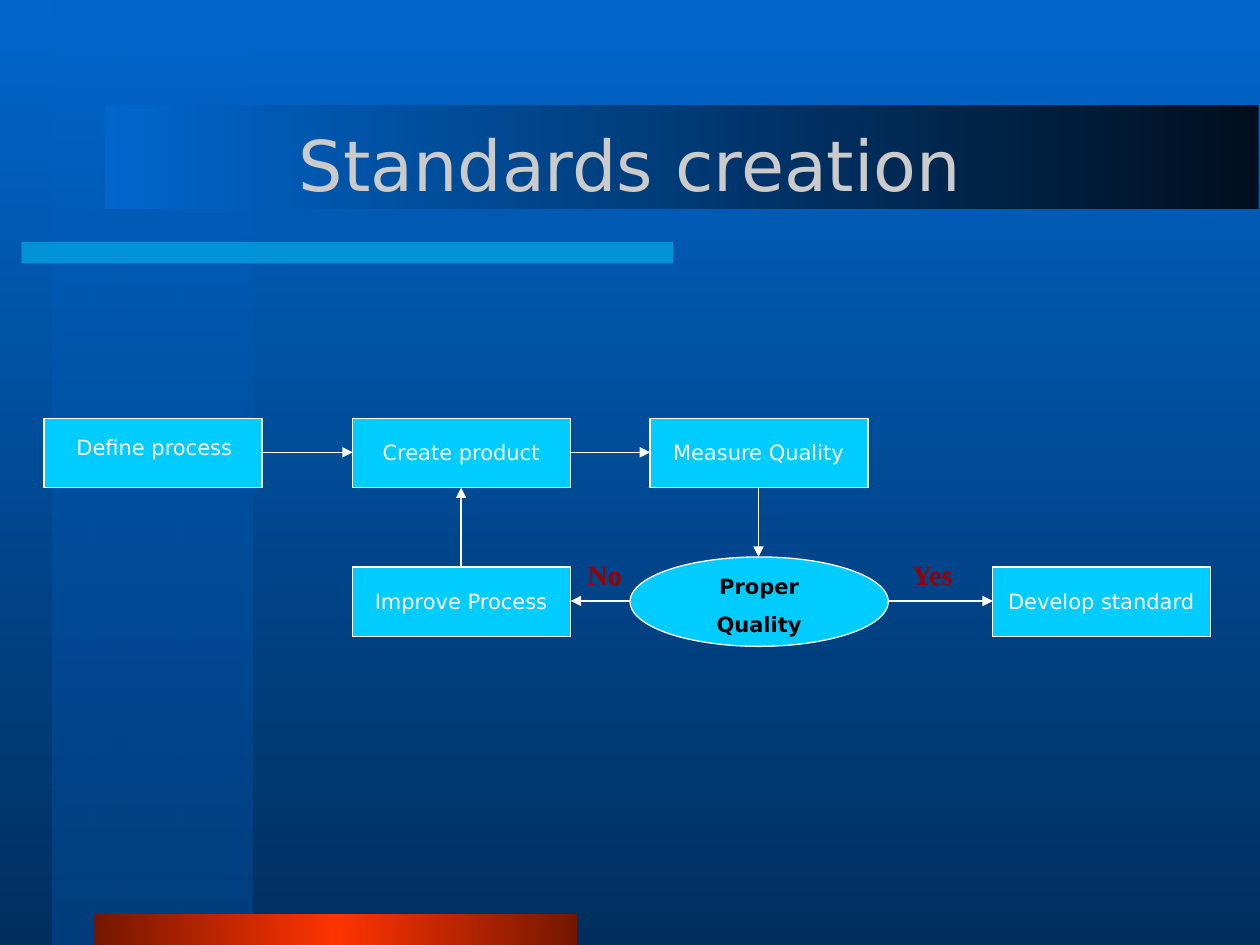
import pptx
import pptx.util
import pptx.dml.color
import pptx.enum.shapes
import pptx.enum.text
import pptx.oxml
import pptx.oxml.ns
import lxml.etree

Inches = pptx.util.Inches
Pt = pptx.util.Pt
RGBColor = pptx.dml.color.RGBColor
SHAPE = pptx.enum.shapes.MSO_SHAPE
qn = pptx.oxml.ns.qn

SKY = RGBColor(0x00, 0x66, 0xCC)
NAVY = RGBColor(0x00, 0x2F, 0x5E)
STRIPE_BLUE = RGBColor(0x00, 0x3E, 0x7D)
MIDNIGHT = RGBColor(0x00, 0x0F, 0x1F)
CYAN = RGBColor(0x00, 0xCC, 0xFF)
BROWN = RGBColor(0x75, 0x17, 0x00)
ORANGE = RGBColor(0xFF, 0x33, 0x00)
GREY = RGBColor(0xCB, 0xCB, 0xCB)
WHITE = RGBColor(0xFF, 0xFF, 0xFF)
BLACK = RGBColor(0x00, 0x00, 0x00)
DARK_RED = RGBColor(0x99, 0x00, 0x00)


def set_gradient(fill, element, angle, stops):
    """Fill with (percent, colour, opacity percent) stops; angle is counter-clockwise."""
    fill.gradient()
    fill.gradient_angle = angle
    stop_list = next(element.iter(qn("a:gsLst")))
    for old_stop in list(stop_list):
        stop_list.remove(old_stop)
    for position, color, opacity in stops:
        stop = lxml.etree.SubElement(stop_list, qn("a:gs"), pos=str(position * 1000))
        value = lxml.etree.SubElement(stop, qn("a:srgbClr"), val=str(color))
        if opacity < 100:
            lxml.etree.SubElement(value, qn("a:alpha"), val=str(opacity * 1000))


def add_label(place, text, size, font_name, color, bold, space):
    text_box = slide.shapes.add_textbox(*(Inches(length) for length in place))
    text_frame = text_box.text_frame
    text_frame.word_wrap = True
    text_frame.auto_size = pptx.enum.text.MSO_AUTO_SIZE.SHAPE_TO_FIT_TEXT
    text_frame.text = text
    for index, paragraph in enumerate(text_frame.paragraphs):
        paragraph.alignment = pptx.enum.text.PP_ALIGN.CENTER
        paragraph.space_before = Pt(space if index else 0)
        font = paragraph.runs[0].font
        font.size, font.name, font.bold = Pt(size), font_name, bold
        font.color.rgb = color


presentation = pptx.Presentation()
presentation.slide_width = Inches(10)
presentation.slide_height = Inches(7.5)
slide = presentation.slides.add_slide(presentation.slide_layouts[5])

# Background
set_gradient(slide.background.fill, slide.element, 270, [(0, SKY, 100), (100, NAVY, 100)])

# Decorative bands
bands = [
    ((0.42, 0, 1.58, 7.5), 270, [(0, SKY, 50), (100, STRIPE_BLUE, 100)]),
    ((0.17, 1.92, 5.17, 0.17), 0, [(0, CYAN, 50)]),
    ((0.75, 7.25, 3.83, 0.25), 180, [(0, BROWN, 100), (50, ORANGE, 100), (100, BROWN, 100)]),
    ((0.83, 0.83, 9.16, 0.83), 180, [(0, MIDNIGHT, 100), (100, SKY, 100)]),
]
for place, angle, stops in bands:
    band = slide.shapes.add_shape(SHAPE.RECTANGLE, *(Inches(length) for length in place))
    band.shadow.inherit = False
    band.line.fill.background()
    if len(stops) > 1:
        set_gradient(band.fill, band.element, angle, stops)
    else:
        _, color, opacity = stops[0]
        band.fill.solid()
        band.fill.fore_color.rgb = color
        value = next(band.element.spPr.iter(qn("a:srgbClr")))
        lxml.etree.SubElement(value, qn("a:alpha"), val=str(opacity * 1000))

# Title, in front of the bands
title = slide.shapes.title
slide.shapes.element.append(title.element)
title.left, title.top = Inches(0.75), Inches(0.67)
title.width, title.height = Inches(8.5), Inches(1.25)
title.text_frame.text = "Standards creation"
title.text_frame.vertical_anchor = pptx.enum.text.MSO_ANCHOR.MIDDLE
title_paragraph = title.text_frame.paragraphs[0]
title_paragraph.alignment = pptx.enum.text.PP_ALIGN.CENTER
title_font = title_paragraph.runs[0].font
title_font.size, title_font.name = Pt(40), "DejaVu Sans"
title_font.color.rgb = GREY

# Flowchart steps: shape, place, text, label place, text colour
BOX_WIDTH, BOX_HEIGHT = 1.73, 0.55
TOP_ROW, BOTTOM_ROW = 3.32, 4.5
steps = [
    (SHAPE.RECTANGLE, (left, top, BOX_WIDTH, BOX_HEIGHT), text,
     (left - 0.24, top + 0.12, 2.2, 0.3), WHITE)
    for left, top, text in [
        (2.8, TOP_ROW, "Create product"),
        (5.16, TOP_ROW, "Measure Quality"),
        (2.8, BOTTOM_ROW, "Improve Process"),
        (7.88, BOTTOM_ROW, "Develop standard"),
    ]
]
steps += [
    (SHAPE.RECTANGLE, (0.35, TOP_ROW, BOX_WIDTH, BOX_HEIGHT), "Define process",
     (0.24, 3.4, 1.97, 0.3), WHITE),
    (SHAPE.OVAL, (5, 4.42, 2.05, 0.71), "Proper\nQuality",
     (5.04, 4.5, 1.97, 0.61), BLACK),
]
for kind, place, text, label_place, color in steps:
    step = slide.shapes.add_shape(kind, *(Inches(length) for length in place))
    step.shadow.inherit = False
    step.fill.solid()
    step.fill.fore_color.rgb = CYAN
    step.line.color.rgb = WHITE
    step.line.width = Pt(0.75)
    add_label(label_place, text, 12, "DejaVu Sans", color, kind == SHAPE.OVAL, 7.5)

# Arrows between the steps
arrows = [
    (2.09, 3.59, 2.8, 3.59),
    (4.53, 3.59, 5.16, 3.59),
    (6.02, 3.87, 6.02, 4.42),
    (5, 4.77, 4.53, 4.77),
    (3.66, 4.5, 3.66, 3.87),
    (7.05, 4.77, 7.88, 4.77),
]
for ends in arrows:
    arrow = slide.shapes.add_connector(
        pptx.enum.shapes.MSO_CONNECTOR.STRAIGHT, *(Inches(length) for length in ends))
    arrow.line.color.rgb = WHITE
    arrow.line.width = Pt(0.75)
    lxml.etree.SubElement(arrow.line._get_or_add_ln(), qn("a:tailEnd"), type="triangle")
    lxml.etree.SubElement(arrow.element.spPr, qn("a:effectLst"))

# Answers beside the decision
for left, answer in [(4.33, "No"), (6.93, "Yes")]:
    add_label((left, 4.38, 0.94, 0.37), answer, 16, "Times New Roman", DARK_RED, True, 10)

presentation.save("out.pptx")
